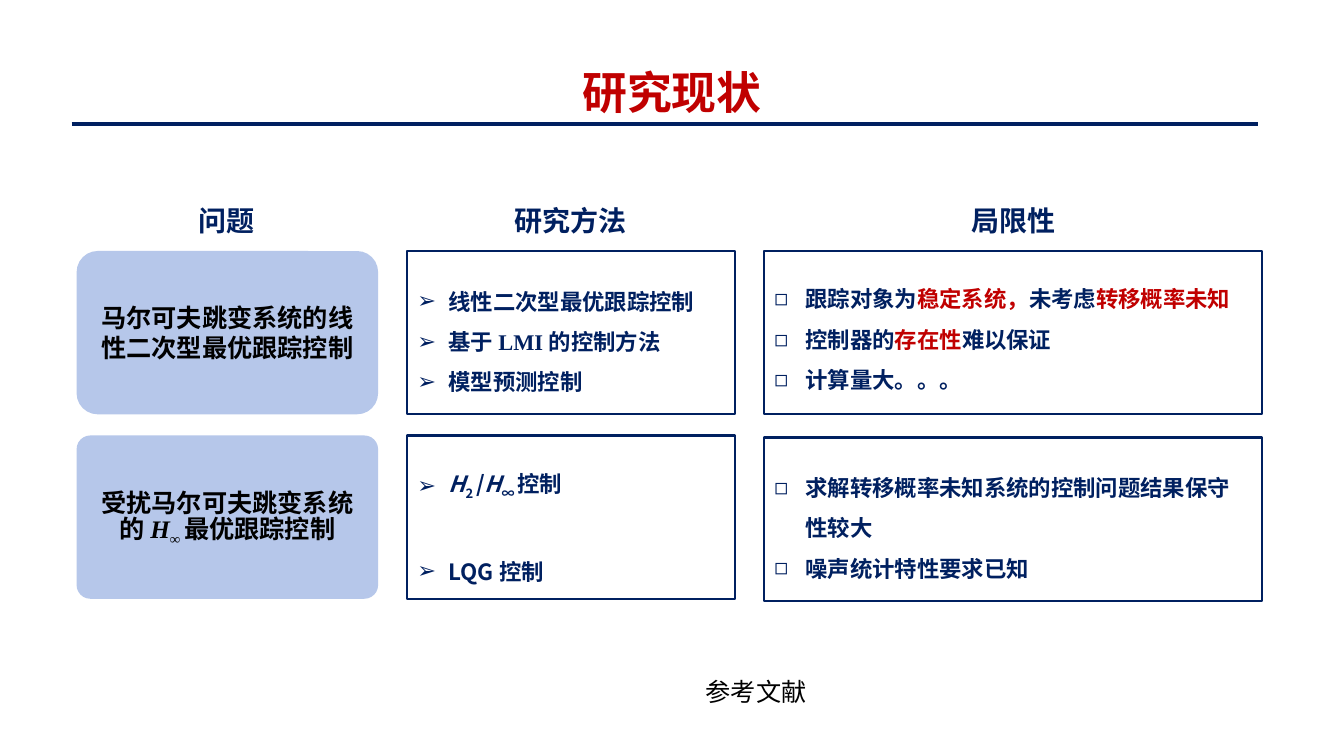
import pptx
import pptx.dml.color
import pptx.enum.shapes
import pptx.enum.text
import pptx.oxml
import pptx.util
from pptx.util import Inches

NAVY = pptx.dml.color.RGBColor(0x00, 0x20, 0x60)
RED = pptx.dml.color.RGBColor(0xC0, 0x00, 0x00)
BLACK = pptx.dml.color.RGBColor(0x00, 0x00, 0x00)
PALE_BLUE = pptx.dml.color.RGBColor(0xB6, 0xC7, 0xEA)
SANS = "Noto Sans CJK SC"
SERIF = "Times New Roman"
CENTER = pptx.enum.text.PP_ALIGN.CENTER
LEFT = pptx.enum.text.PP_ALIGN.LEFT
SHAPES = pptx.enum.shapes.MSO_SHAPE


def write_paragraph(paragraph, runs, size, color, bold=True, align=CENTER, spacing=1.2, latin=SANS):
    """Add (text, styles) runs; styles may name red, italic, sub and serif."""
    paragraph.alignment = align
    paragraph.line_spacing = pptx.util.Pt(size * spacing)
    paragraph.space_before = pptx.util.Pt(0)
    for text, styles in runs:
        run = paragraph.add_run()
        run.text = text
        run.font.size = pptx.util.Pt(size)
        run.font.bold = bold
        run.font.italic = "italic" in styles
        run.font.color.rgb = RED if "red" in styles else color
        run.font.name = SERIF if "serif" in styles else latin
        properties = run.font._element
        east_asian = pptx.oxml.parse_xml(
            f'<a:ea xmlns:a="http://schemas.openxmlformats.org/drawingml/2006/main" typeface="{SANS}"/>')
        properties.append(east_asian)
        if "sub" in styles:
            properties.set("baseline", "-25000")


def add_bullet(paragraph, character):
    properties = paragraph._p.get_or_add_pPr()
    properties.set("marL", str(Inches(0.31)))
    properties.set("indent", str(Inches(-0.31)))
    for tag, attribute, value in (("buFont", "typeface", "Arial"), ("buChar", "char", character)):
        properties.append(pptx.oxml.parse_xml(
            f'<a:{tag} xmlns:a="http://schemas.openxmlformats.org/drawingml/2006/main" {attribute}="{value}"/>'))


presentation = pptx.Presentation()
presentation.slide_width = Inches(13.33)
presentation.slide_height = Inches(7.5)
slide = presentation.slides.add_slide(presentation.slide_layouts.get_by_name("Comparison"))

# Title and rule
title = slide.shapes.title
title.left, title.top, title.width, title.height = Inches(0.8), Inches(0.59), Inches(11.73), Inches(0.64)
title.text_frame.vertical_anchor = pptx.enum.text.MSO_ANCHOR.TOP
title.text_frame.auto_size = pptx.enum.text.MSO_AUTO_SIZE.NONE
write_paragraph(title.text_frame.paragraphs[0], [("研究现状", "")], 32, RED)

rule = slide.shapes.add_connector(
    pptx.enum.shapes.MSO_CONNECTOR.STRAIGHT, Inches(0.71), Inches(1.23), Inches(12.48), Inches(1.23))
rule.line.color.rgb = NAVY
rule.line.width = pptx.util.Pt(3)
rule._element.spPr.append(pptx.oxml.parse_xml(
    '<a:effectLst xmlns:a="http://schemas.openxmlformats.org/drawingml/2006/main"/>'))

# Column headings
for heading, left in (("问题", 1.52), ("研究方法", 4.93), ("局限性", 9.32)):
    box = slide.shapes.add_textbox(Inches(left), Inches(1.97), Inches(1.46), Inches(0.44))
    box.text_frame.word_wrap = True
    write_paragraph(box.text_frame.paragraphs[0], [(heading, "")], 20, NAVY)

# Problems
problems = [
    (2.49, 0.129, [("马尔可夫跳变系统的线性二次型最优跟踪控制", "")]),
    (4.32, 0.084, [("受扰马尔可夫跳变系统的 ", ""), ("H", "serif italic"),
                   ("∞ ", "serif sub"), ("最优跟踪控制", "")]),
]
for top, rounding, runs in problems:
    problem = slide.shapes.add_shape(
        SHAPES.ROUNDED_RECTANGLE, Inches(0.76), Inches(top), Inches(2.99), Inches(1.62))
    problem.adjustments[0] = rounding
    problem.shadow.inherit = False
    problem.fill.solid()
    problem.fill.fore_color.rgb = PALE_BLUE
    problem.line.fill.background()
    problem.text_frame.word_wrap = True
    problem.text_frame.vertical_anchor = pptx.enum.text.MSO_ANCHOR.MIDDLE
    write_paragraph(problem.text_frame.paragraphs[0], runs, 18, BLACK)

# Methods and limitations: left, frame top, text top, width, bullet, gap between items, items
lists = [
    (4.04, 2.49, 2.67, 3.25, "➢", 0, [
        [("线性二次型最优跟踪控制", "serif")],
        [("基于 LMI 的控制方法", "serif")],
        [("模型预测控制", "")]]),
    (4.04, 4.32, 4.52, 3.25, "➢", 31, [
        [("H", "italic"), ("2 ", "sub"), ("/", ""), ("H", "italic"), ("∞ ", "sub"), ("控制", "")],
        [("LQG 控制", "")]]),
    (7.58, 2.49, 2.65, 4.94, "◻", 0, [
        [("跟踪对象为", ""), ("稳定系统，", "red"), ("未考虑", ""), ("转移概率未知", "red")],
        [("控制器", "serif"), ("的", ""), ("存在性", "red"), ("难以保证", "")],
        [("计算量大。。。", "")]]),
    (7.58, 4.34, 4.52, 4.94, "◻", 0, [
        [("求解转移概率未知系统的控制问题结果保守性较大", "")],
        [("噪声统计特性要求已知", "")]]),
]
for number, (left, frame_top, text_top, width, bullet, gap, items) in enumerate(lists, start=1):
    frame = slide.shapes.add_shape(
        SHAPES.RECTANGLE, Inches(left), Inches(frame_top), Inches(width), Inches(1.62))
    frame.shadow.inherit = False
    frame.fill.background()
    frame.line.color.rgb = NAVY
    frame.line.width = pptx.util.Pt(1.5)

    body = slide.placeholders[number]
    body.left, body.top, body.width, body.height = Inches(left), Inches(text_top), Inches(width), Inches(1.27)
    text_frame = body.text_frame
    text_frame.word_wrap = True
    text_frame.auto_size = pptx.enum.text.MSO_AUTO_SIZE.NONE
    text_frame.vertical_anchor = pptx.enum.text.MSO_ANCHOR.TOP
    for index, runs in enumerate(items):
        paragraph = text_frame.add_paragraph() if index else text_frame.paragraphs[0]
        write_paragraph(paragraph, runs, 16, NAVY, align=LEFT, spacing=1.8)
        if index:
            paragraph.space_before = pptx.util.Pt(gap)
        add_bullet(paragraph, bullet)

# References
references = slide.shapes.add_textbox(Inches(6.9), Inches(6.66), Inches(1.21), Inches(0.4))
references.text_frame.word_wrap = False
write_paragraph(references.text_frame.paragraphs[0], [("参考文献", "")], 18, BLACK,
                bold=False, align=LEFT, latin="Arial")

presentation.save("out.pptx")
